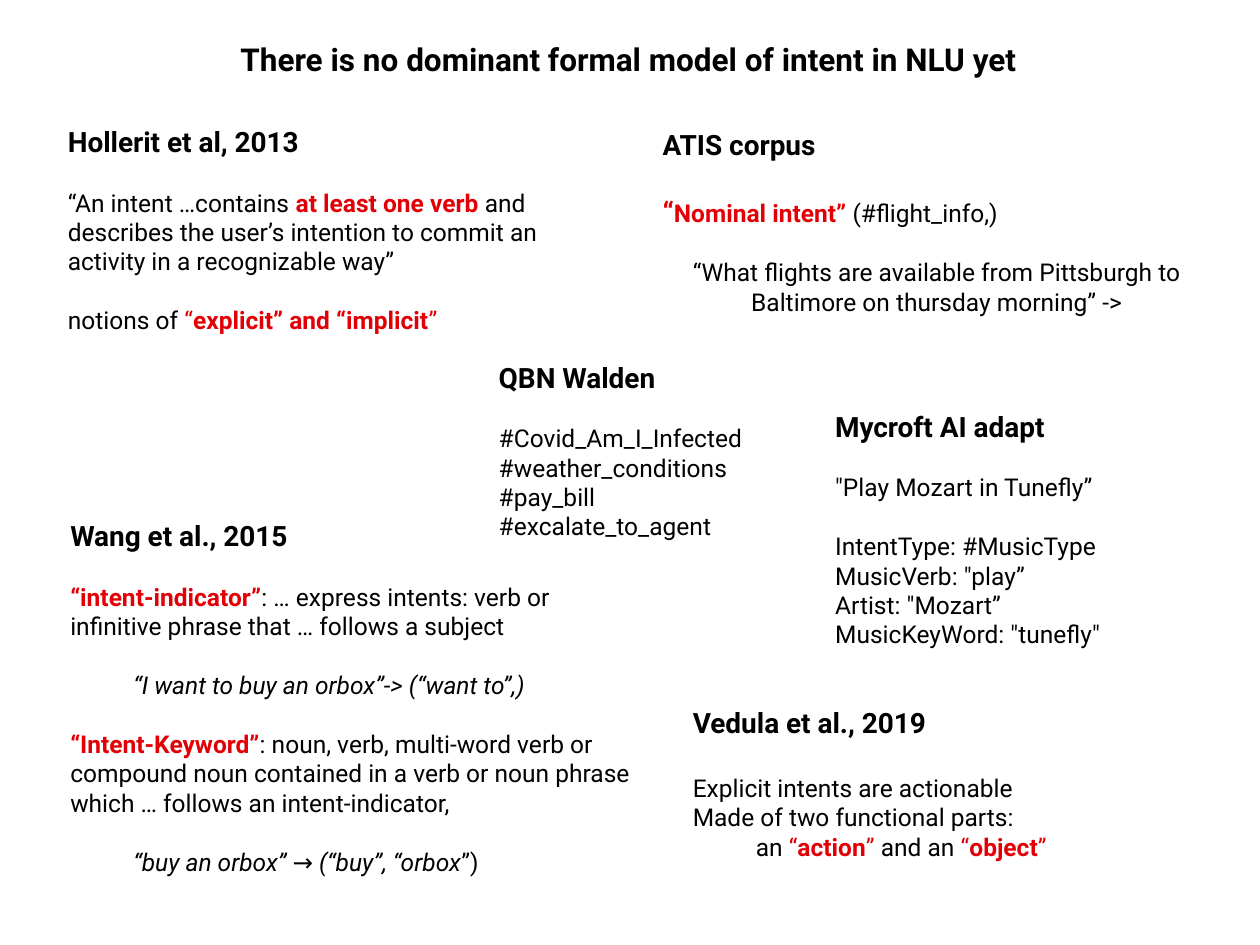
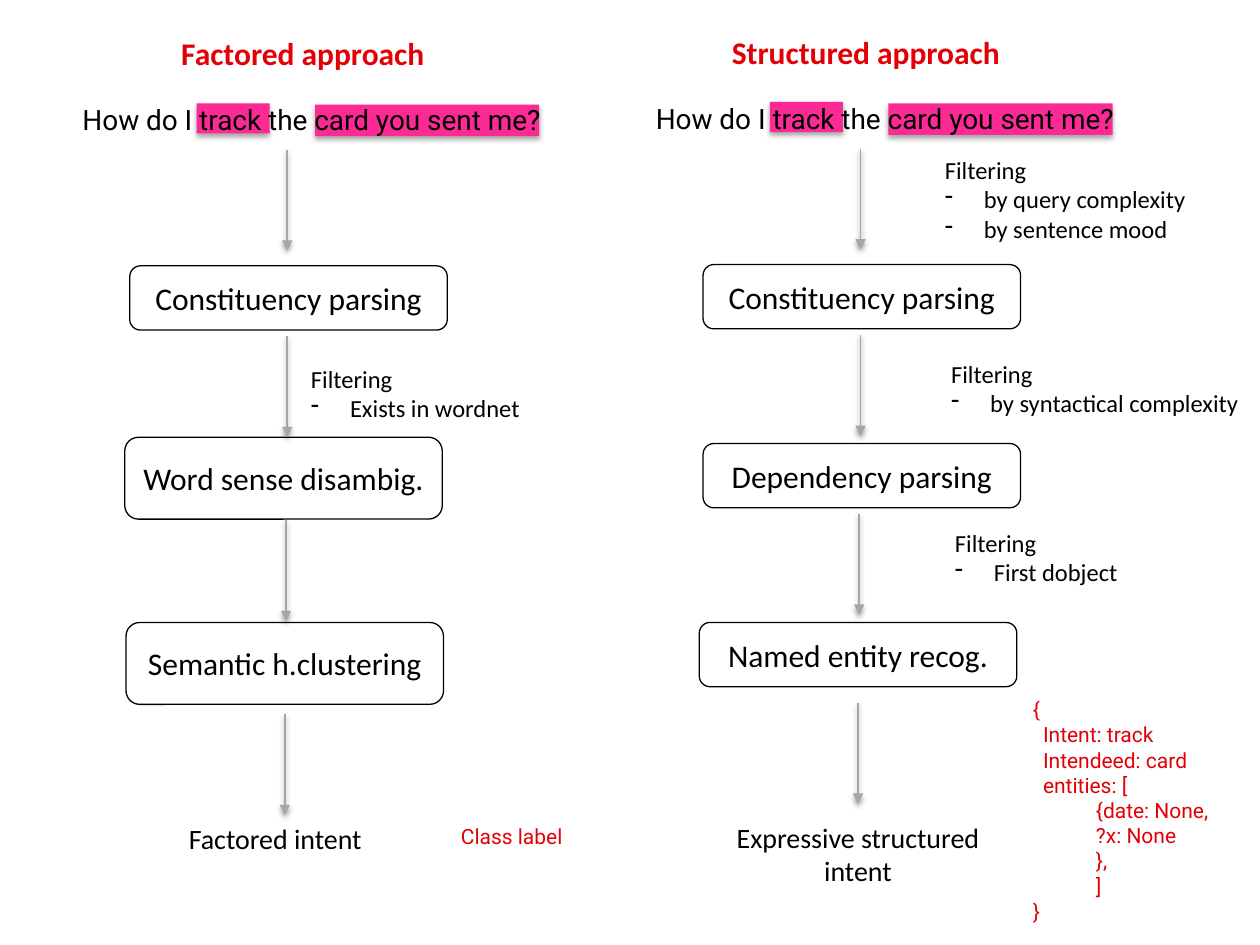
from dataclasses import dataclass, field

from lxml import etree
from pptx import Presentation
from pptx.dml.color import RGBColor
from pptx.enum import shapes, text
from pptx.oxml import parse_xml
from pptx.oxml.ns import nsdecls, qn
from pptx.util import Inches, Pt


@dataclass(frozen=True)
class Theme:
    ink: str = "000000"
    paper: str = "FFFFFF"
    accent: str = "E20006"
    marker: str = "FC2A94"
    arrow: str = "A6A6A6"
    prose: str = "Roboto"
    diagram: str = "Calibri"
    title: int = 18
    heading: int = 16
    body: int = 14
    code: int = 12
    leading: float = 1.2


THEME = Theme()
STYLES = {
    "plain": {},
    "bold": {"bold": True},
    "italic": {"italic": True},
    "red": {"color": THEME.accent},
    "key": {"color": THEME.accent, "bold": True},
    "big key": {"color": THEME.accent, "bold": True, "size": THEME.heading},
    "heading": {"bold": True, "size": THEME.heading},
}
CENTER = text.PP_ALIGN.CENTER
BODY_GAP = THEME.body * THEME.leading
HEADING_GAP = THEME.heading * THEME.leading
TAB = 0.5
BULLET_INDENT = 0.31


@dataclass
class Line:
    spans: list
    gap: float = 0
    indent: float = 0
    bullet: bool = False
    layout: dict = field(default_factory=dict)


def line(*spans, **options):
    pairs = [(span, "plain") if isinstance(span, str) else span for span in spans]
    return Line(pairs, **options)


class Board:
    COLUMNS, ROWS = 100, 75

    def __init__(self, theme):
        self.theme = theme
        self.deck = Presentation()
        self.deck.slide_width, self.deck.slide_height = Inches(10), Inches(7.5)
        self.page = None

    def new_page(self):
        self.page = self.deck.slides.add_slide(self.deck.slide_layouts[6])

    def grid(self, *cells):
        units = (self.deck.slide_width / self.COLUMNS, self.deck.slide_height / self.ROWS)
        return [round(cell * units[place % 2]) for place, cell in enumerate(cells)]

    def set_lines(self, box, lines, **base):
        for number, content in enumerate(lines):
            para = box.paragraphs[0] if number == 0 else box.add_paragraph()
            if content.indent or content.bullet:
                props = para._p.get_or_add_pPr()
                props.set("marL", str(Inches(content.indent)))
                if content.bullet:
                    props.set("indent", str(-Inches(content.indent)))
                    etree.SubElement(props, qn("a:buChar")).set("char", "-")
            for name, value in {"space_before": Pt(content.gap), **content.layout}.items():
                setattr(para, name, value)
            for words, style in content.spans:
                span = para.add_run()
                span.text = words
                look = {"color": self.theme.ink, **base, **STYLES[style]}
                span.font.color.rgb = RGBColor.from_string(look.pop("color"))
                look["size"] = Pt(look["size"])
                for name, value in look.items():
                    setattr(span.font, name, value)

    def label(self, at, lines, wrap=False, fill=None, **base):
        box = self.page.shapes.add_textbox(*self.grid(*at))
        if fill:
            box.fill.solid()
            box.fill.fore_color.rgb = RGBColor.from_string(fill)
        box.text_frame.word_wrap = wrap
        box.text_frame.auto_size = text.MSO_AUTO_SIZE.SHAPE_TO_FIT_TEXT
        self.set_lines(box.text_frame, lines, **base)

    def section(self, at, heading, *lines, fill=None):
        self.label(at, [line((heading, "heading")), *lines], wrap=True, fill=fill,
                   name=self.theme.prose, size=self.theme.body)

    def note(self, left, top, width, *items):
        height = 1 + 2.36 * (len(items) + 1)
        bullets = [line(item, bullet=True, indent=BULLET_INDENT) for item in items]
        self.label((left, top, width, height), [line("Filtering"), *bullets],
                   name=self.theme.diagram, size=self.theme.body)

    def shape(self, kind, at, fill, outline=None):
        item = self.page.shapes.add_shape(kind, *self.grid(*at))
        item.fill.solid()
        item.fill.fore_color.rgb = RGBColor.from_string(fill)
        if outline:
            item.line.color.rgb = RGBColor.from_string(outline)
            item.line.width = Pt(0.75)
        else:
            item.line.fill.background()
        return item

    def cast_shadow(self, item, alpha, distance):
        item._element.spPr.append(parse_xml(
            f'<a:effectLst {nsdecls("a")}><a:outerShdw blurRad="{Pt(3.1)}" '
            f'dist="{Pt(distance)}" dir="5400000" rotWithShape="0">'
            f'<a:srgbClr val="{self.theme.ink}"><a:alpha val="{alpha * 1000}"/>'
            '</a:srgbClr></a:outerShdw></a:effectLst>'))

    def highlight(self, *at):
        item = self.shape(shapes.MSO_SHAPE.RECTANGLE, at, self.theme.marker)
        self.cast_shadow(item, 35, 1.8)

    def step(self, name, left, top, height):
        item = self.shape(shapes.MSO_SHAPE.ROUNDED_RECTANGLE, (left, top, 25.2, height),
                          self.theme.paper, self.theme.ink)
        item.shadow.inherit = False
        item.text_frame.word_wrap = True
        item.text_frame.vertical_anchor = text.MSO_ANCHOR.MIDDLE
        self.set_lines(item.text_frame, [line(name, layout={"alignment": CENTER})],
                       name=self.theme.diagram, size=self.theme.title)

    def arrow(self, left, top, length=8):
        item = self.page.shapes.add_connector(
            shapes.MSO_CONNECTOR.STRAIGHT, *self.grid(left, top, left, top + length))
        item.line.color.rgb = RGBColor.from_string(self.theme.arrow)
        item.line.width = Pt(1)
        etree.SubElement(item.line._ln, qn("a:tailEnd")).set("type", "triangle")
        self.cast_shadow(item, 38, 1.6)

    def approach(self, left, top, steps, arrows):
        for name, x, y, height in steps:
            self.step(name, left + x, top + y, height)
        self.highlight(left + 25, top + 8.3, 17.8, 2.5)
        self.highlight(left + 15.6, top + 8.2, 5.8, 2.4)
        question = line("How do I track the card you sent me?",
                        layout={"alignment": text.PP_ALIGN.RIGHT, "line_spacing": 1.5})
        self.label((left + 5, top + 6.3, 38.9, 4.8), [question], wrap=True,
                   name=self.theme.prose, size=self.theme.heading)
        for x, y in arrows:
            self.arrow(left + x, top + y)


def models_page(board):
    theme = board.theme
    board.new_page()
    board.section(
        (4.4, 9.4, 50, 20.5), "Hollerit et al, 2013",
        line("“An intent …contains ", ("at least one verb ", "key"), "and", gap=BODY_GAP),
        line("describes the user’s intention to commit an"),
        line("activity in a recognizable way”"),
        line("notions of ", ("“", "red"), ("explicit” and “implicit", "key"), ("”", "red"),
             gap=BODY_GAP))
    board.section(
        (51.6, 9.6, 45.5, 16.2), "ATIS corpus",
        line(("“", "big key"), ("Nominal intent” ", "key"), "(#flight_info,)",
             gap=HEADING_GAP),
        line("“What flights are available from Pittsburgh to Baltimore on thursday morning” ->",
             gap=BODY_GAP, layout={"alignment": CENTER}),
        fill=theme.paper)
    board.section(
        (4.6, 40.7, 47, 29.6), "Wang et al., 2015",
        line(("“intent-indicator”", "key"),
             ": … express intents: verb or infinitive phrase that … follows a subject",
             gap=BODY_GAP),
        line(("“I want to buy an orbox”-> (“want to”,)", "italic"), gap=BODY_GAP, indent=TAB),
        line(("“Intent-Keyword”", "key"),
             ": noun, verb, multi-word verb or compound noun contained in a verb or noun "
             "phrase which … follows an intent-indicator,", gap=BODY_GAP),
        line(("“buy an orbox” → (“buy”, “orbox", "italic"), "”)", gap=BODY_GAP, indent=TAB),
        fill=theme.paper)
    board.label((18.1, 2.7, 68.1, 4),
                [line(("There is no dominant formal model of intent in NLU yet", "bold"))],
                name=theme.prose, size=theme.title)
    board.section(
        (54, 55.5, 46, 13.5), "Vedula et al., 2019",
        line("Explicit intents are actionable", gap=HEADING_GAP),
        line("Made of two functional parts:"),
        line("an ", ("“", "red"), ("action", "key"), ("”", "red"), " and an ",
             ("“", "red"), ("object", "key"), ("”", "red"), indent=TAB))
    board.section(
        (38.6, 28.1, 25.2, 15.5), "QBN Walden",
        line("#Covid_Am_I_Infected", gap=BODY_GAP),
        *map(line, ("#weather_conditions", "#pay_bill", "#excalate_to_agent")))
    board.section(
        (65.3, 32, 27.3, 20.2), "Mycroft AI adapt",
        line('"Play Mozart in Tunefly”', gap=BODY_GAP),
        line("IntentType: #MusicType", gap=BODY_GAP),
        *map(line, ('MusicVerb: "play”', 'Artist: "Mozart”', 'MusicKeyWord: "tunefly"')))


def approaches_page(board):
    theme = board.theme
    board.new_page()
    board.approach(
        0, 0,
        [("Constituency parsing", 10.3, 21.1, 5.1),
         ("Word sense disambig.", 9.9, 34.7, 6.5),
         ("Semantic h.clustering", 10, 49.4, 6.5)],
        [(22.8, 11.9), (22.8, 26.7), (22.7, 41.3), (22.6, 56.7)])
    board.approach(
        45.5, -0.1,
        [("Constituency parsing", 10.3, 21.1, 5.1),
         ("Dependency parsing", 10.3, 35.3, 5.1),
         ("Named entity recog.", 10, 49.5, 5.1)],
        [(22.8, 11.9), (22.8, 26.7), (22.7, 40.9), (22.6, 55.9)])

    for title, left, top, width in (("Factored approach", 13.4, 2.2, 21.7),
                                    ("Structured approach", 57.1, 2.1, 23.6)):
        board.label((left, top, width, 4), [line((title, "key"))],
                    name=theme.diagram, size=theme.title)

    board.note(23.7, 28.4, 18.7, "Exists in wordnet")
    board.note(74, 11.8, 21.2, "by query complexity", "by sentence mood")
    board.note(74.5, 28, 25.2, "by syntactical complexity")
    board.note(74.8, 41.4, 15.1, "First dobject")

    result = {"name": theme.diagram, "size": theme.heading}
    board.label((14, 64.7, 16.1, 3.7), [line("Factored intent")], **result)
    board.label((57.3, 64.6, 21.6, 6.4),
                [line(words, layout={"alignment": CENTER})
                 for words in ("Expressive structured", "intent")], **result)

    output = {"name": theme.prose, "size": theme.code, "color": theme.accent}
    board.label((35.6, 64.9, 10.3, 3), [line("Class label")], **output)
    fields = [line(words, indent=0.08)
              for words in ("Intent: track", "Intendeed: card", "entities: [")]
    entities = [line(words, indent=TAB) for words in ("{date: None,", "?x: None", "},", "]")]
    board.label((81, 54.8, 16.3, 19.2), [line("{"), *fields, *entities, line("}")], **output)


def main():
    board = Board(THEME)
    models_page(board)
    approaches_page(board)
    board.deck.save("out.pptx")


if __name__ == "__main__":
    main()
